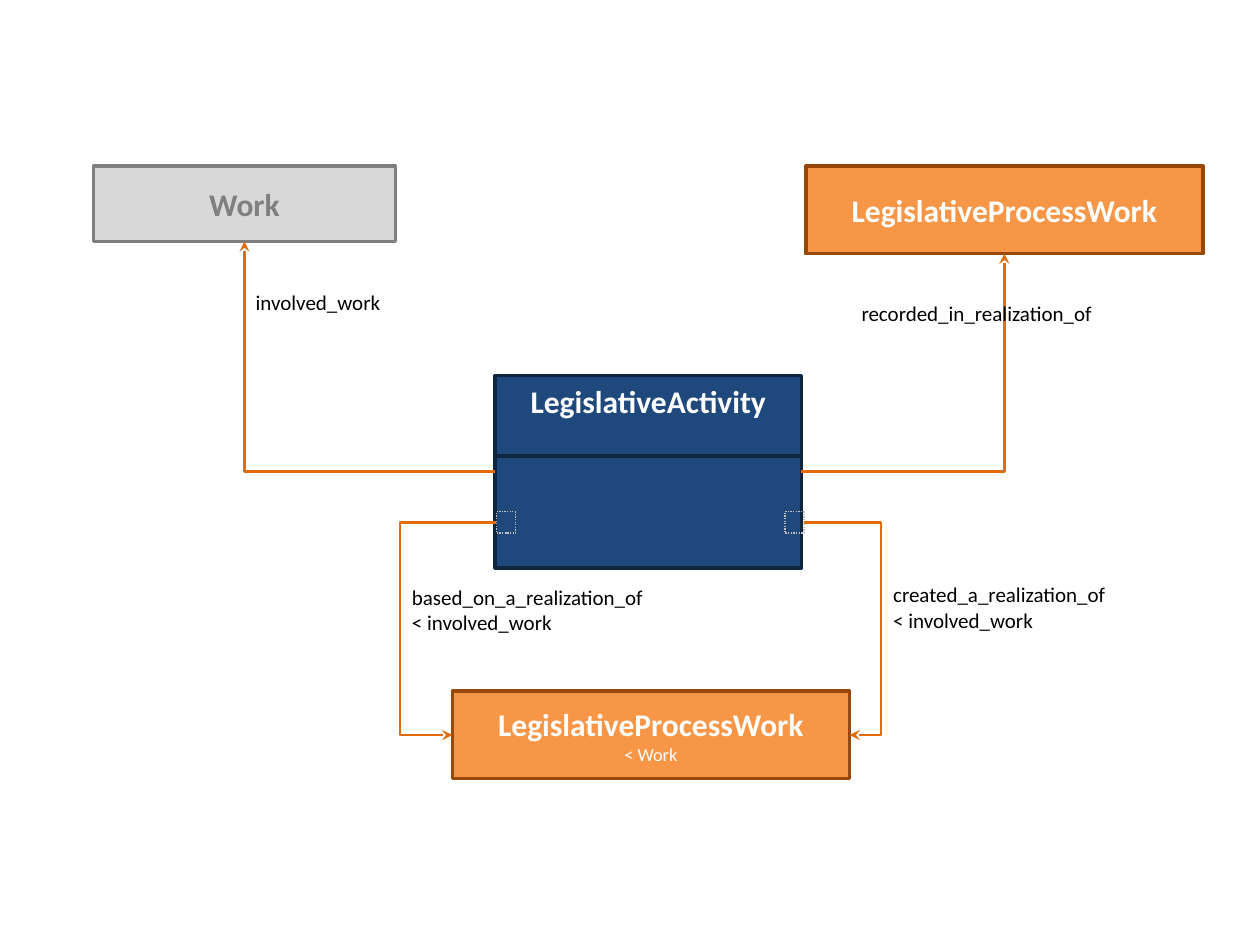
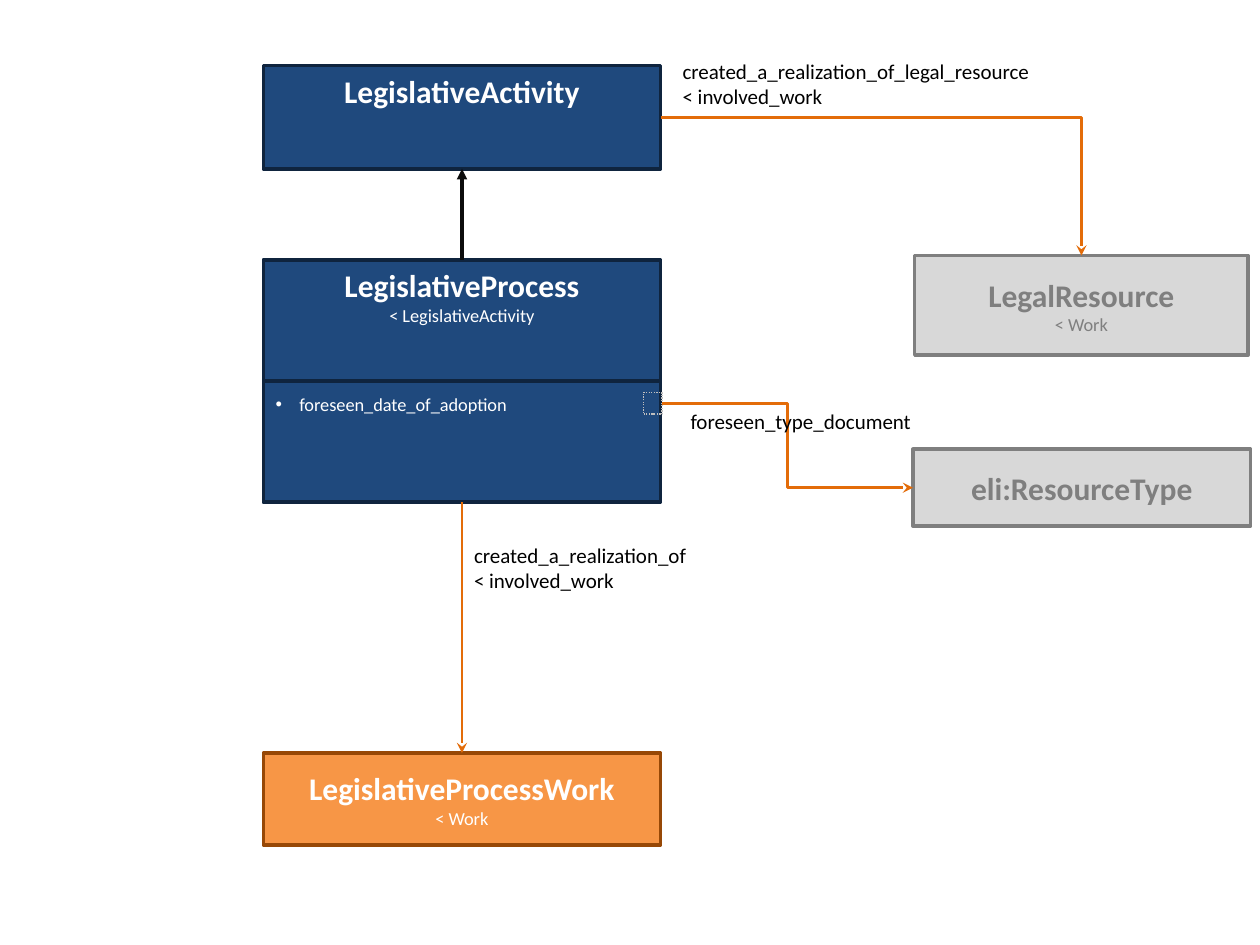
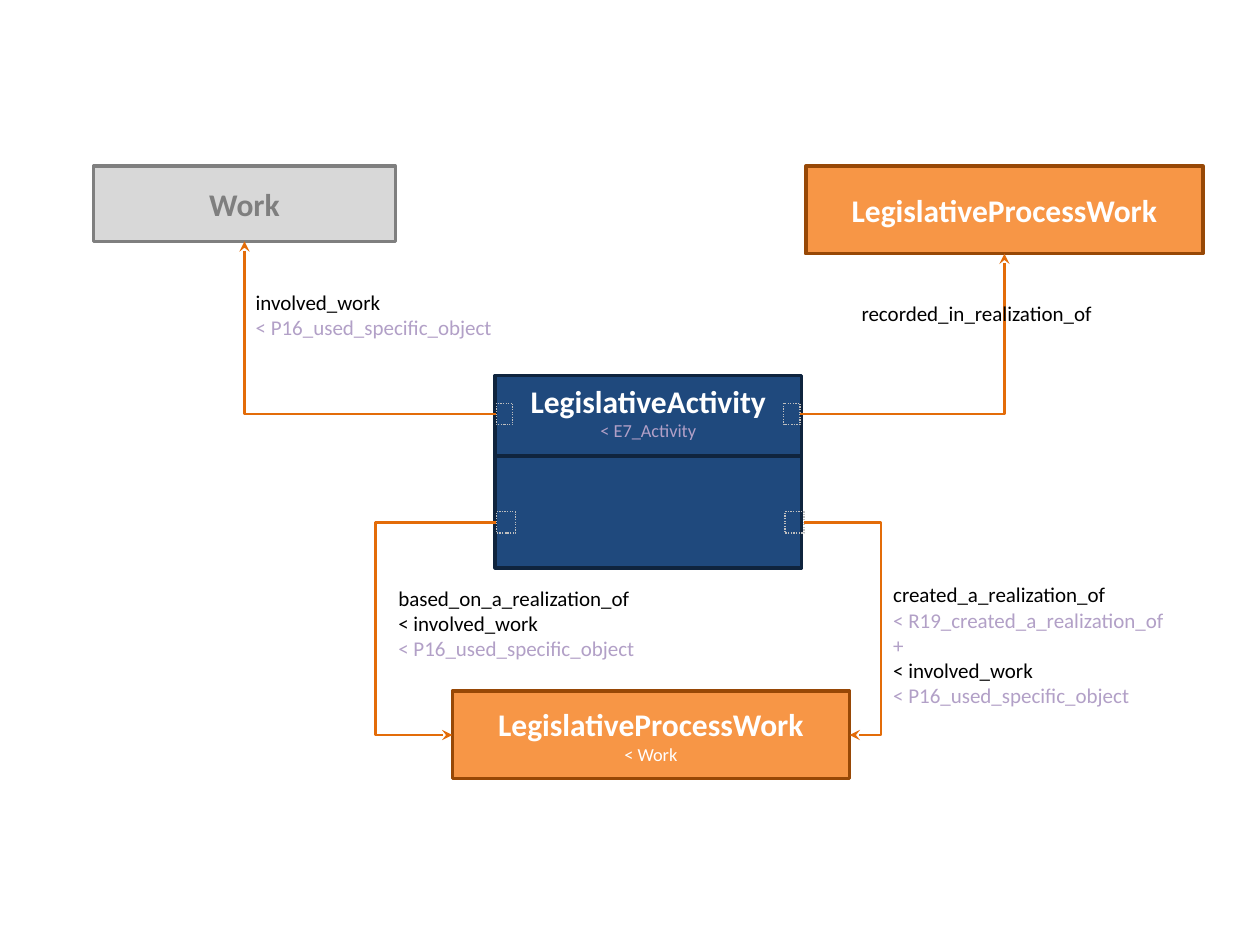
from dataclasses import dataclass

from lxml import etree
from pptx import Presentation
from pptx.dml.color import RGBColor
from pptx.enum.dml import MSO_LINE
from pptx.enum.shapes import MSO_CONNECTOR, MSO_SHAPE
from pptx.enum.text import MSO_ANCHOR, PP_ALIGN
from pptx.oxml.ns import qn
from pptx.util import Pt

RECT = MSO_SHAPE.RECTANGLE
LINE, ELBOW = MSO_CONNECTOR.STRAIGHT, MSO_CONNECTOR.ELBOW
TOP, MIDDLE = MSO_ANCHOR.TOP, MSO_ANCHOR.MIDDLE
LEFT, CENTER, RIGHT = PP_ALIGN.LEFT, PP_ALIGN.CENTER, PP_ALIGN.RIGHT
DOTS = MSO_LINE.ROUND_DOT
NORTH, WEST, SOUTH, EAST = range(4)


@dataclass(frozen=True)
class Kind:
    fill: str
    edge: str
    ink: str
    anchor: MSO_ANCHOR


@dataclass(frozen=True)
class Theme:
    face: str = "Calibri"
    head: float = 18
    note: float = 12
    small: float = 10.5
    thick: float = 2
    mid: float = 1.5
    thin: float = 0.75
    ink: str = "000000"
    mauve: str = "B2A0C7"
    arrow: str = "E36C09"
    parent: str = "0C0C0C"
    slot: str = "BFBFBF"
    blue: Kind = Kind("1F497D", "0F243E", "FFFFFF", TOP)
    orange: Kind = Kind("F79646", "974806", "FFFFFF", MIDDLE)
    gray: Kind = Kind("D8D8D8", "7F7F7F", "7F7F7F", MIDDLE)


class Deck:
    def __init__(self, theme):
        self.theme = theme
        self.show = Presentation()
        self.show.slide_width, self.show.slide_height = Pt(720), Pt(540)

    def page(self):
        self.shapes = self.show.slides.add_slide(self.show.slide_layouts[6]).shapes

    def row(self, frame, text, size, ink, align=LEFT, bold=False):
        para = frame.paragraphs[0]
        if para.runs:
            para = frame.add_paragraph()
        para.add_run().text = text
        para.alignment = align
        font = para.font
        font.name, font.size, font.bold = self.theme.face, Pt(size), bold
        font.color.rgb = RGBColor.from_string(ink)
        return para

    def pen(self, shape, ink, width):
        shape.line.color.rgb = RGBColor.from_string(ink)
        shape.line.width = Pt(width)

    def rect(self, at, ink, width):
        shape = self.shapes.add_shape(RECT, *map(Pt, at))
        shape.shadow.inherit = False
        self.pen(shape, ink, width)
        return shape

    def box(self, kind, at, title, sub=None, tint=None):
        shape = self.rect(at, kind.edge, self.theme.thick)
        shape.fill.solid()
        shape.fill.fore_color.rgb = RGBColor.from_string(kind.fill)
        frame = shape.text_frame
        frame.word_wrap, frame.vertical_anchor = True, kind.anchor
        self.row(frame, title, self.theme.head, kind.ink, CENTER, True)
        if sub:
            self.row(frame, sub, self.theme.small, tint or kind.ink, CENTER)
        return shape

    def bullet(self, box, text, gap):
        ink = self.theme.blue.ink
        para = self.row(box.text_frame, text, self.theme.small, ink)
        para.space_before = Pt(gap)
        props = para._p.get_or_add_pPr()
        props.set("marL", str(Pt(13.5)))
        props.set("indent", str(-Pt(13.5)))
        etree.SubElement(props, qn("a:buFont")).set("typeface", "Arial")
        mark = etree.SubElement(props, qn("a:buChar"))
        mark.set("char", "•")
        props.insert(list(props).index(mark), mark)
        fill = props.find(qn("a:defRPr"))
        if fill is not None:
            props.append(fill)

    def slot(self, at):
        shape = self.rect(at, self.theme.slot, self.theme.thin)
        shape.fill.background()
        shape.line.dash_style = DOTS
        return shape

    def label(self, at, *lines, align=LEFT):
        frame = self.shapes.add_textbox(*map(Pt, at)).text_frame
        frame.word_wrap = True
        for text, ink in lines:
            self.row(frame, text, self.theme.note, ink, align)

    def wire(self, form, ink, width, ends=(0, 0, 0, 0)):
        wire = self.shapes.add_connector(form, *map(Pt, ends))
        self.pen(wire, ink, width)
        etree.SubElement(wire.element.spPr, qn("a:effectLst"))
        return wire

    def rule(self, left, right, y):
        self.wire(LINE, self.theme.blue.edge, self.theme.thick, (left, y, right, y))

    def join(self, start, end, form=LINE, turn=None, parent=False):
        theme = self.theme
        ink, width, tip = (theme.arrow, theme.mid, "stealth")
        if parent:
            ink, width, tip = (theme.parent, theme.thick, "triangle")
        wire = self.wire(form, ink, width)
        wire.begin_connect(*start)
        wire.end_connect(*end)
        etree.SubElement(wire.line._ln, qn("a:tailEnd")).set("type", tip)
        if form == ELBOW:
            shape = wire.element.spPr.find(qn("a:prstGeom"))
            if turn is None:
                shape.set("prst", "bentConnector2")
            else:
                ratio = (Pt(turn) - wire.begin_x) / (wire.end_x - wire.begin_x)
                guide = etree.SubElement(shape.find(qn("a:avLst")), qn("a:gd"))
                guide.set("name", "adj1")
                guide.set("fmla", f"val {round(ratio * 100000)}")


def activity(deck, full):
    theme = deck.theme
    deck.page()
    used = ("< P16_used_specific_object", theme.mauve)
    more = [used] if full else []
    involved = ("< involved_work", theme.ink)

    sub = "< E7_Activity" if full else None
    act = deck.box(theme.blue, (283, 214.5, 175, 110), "LegislativeActivity",
                   sub, theme.mauve)
    deck.rule(283.5, 459, 260.5)
    low = [deck.slot((x, 292.5, 10.8, 12.2)) for x in (283.7, 448.6)]
    base = deck.box(theme.orange, (258.5, 395, 227, 50),
                    "LegislativeProcessWork", "< Work")
    record = deck.box(theme.orange, (460.5, 95, 227, 50), "LegislativeProcessWork")
    work = deck.box(theme.gray, (53.5, 95, 172.5, 43), "Work")

    high = [act, act]
    if full:
        high = [deck.slot((x, 230.5, 9.4, 12.2)) for x in (283.7, 447.8)]
    deck.join((high[0], WEST), (work, SOUTH), ELBOW)
    deck.join((high[1], EAST), (record, SOUTH), ELBOW)
    deck.join((low[0], WEST), (base, WEST), ELBOW, 214.5 if full else 228.5)
    deck.join((low[1], EAST), (base, EAST), ELBOW, 503.5)

    deck.label((139, 162, 194, 36), ("involved_work", theme.ink), *more)
    deck.label((481, 168, 150, 22), ("recorded_in_realization_of", theme.ink),
               align=RIGHT)
    spot = (220.5, 331) if full else (228.3, 330.5)
    deck.label((*spot, 214, 51), ("based_on_a_realization_of", theme.ink),
               involved, *more)
    made = []
    if full:
        made = [("< R19_created_a_realization_of", theme.mauve), ("+", theme.mauve)]
    deck.label((503.3, 329, 203, 94), ("created_a_realization_of", theme.ink),
               *made, involved, *more)


def process(deck):
    theme = deck.theme
    deck.page()
    involved = ("< involved_work", theme.ink)
    left, width = 150.5, 227

    act = deck.box(theme.blue, (left, 37.5, width, 59), "LegislativeActivity")
    main = deck.box(theme.blue, (left, 148.5, width, 138.5),
                    "LegislativeProcess", "< LegislativeActivity")
    deck.bullet(main, "foreseen_date_of_adoption", 38.5)
    deck.rule(left, left + width, 217.8)
    base = deck.box(theme.orange, (left, 430.3, width, 52.5),
                    "LegislativeProcessWork", "< Work")
    legal = deck.box(theme.gray, (522.7, 146, 190.5, 57), "LegalResource", "< Work")
    sort = deck.box(theme.gray, (521.7, 256.7, 193, 44), "eli:ResourceType")
    slot = deck.slot((367.5, 224.5, 10.8, 12.2))

    deck.join((main, NORTH), (act, SOUTH), parent=True)
    deck.join((main, SOUTH), (base, NORTH))
    deck.join((act, EAST), (legal, NORTH), ELBOW)
    deck.join((slot, EAST), (sort, WEST), ELBOW, 450)

    deck.label((383, 30, 215.5, 36),
               ("created_a_realization_of_legal_resource", theme.ink), involved)
    deck.label((387.5, 230, 151, 22), ("foreseen_type_document", theme.ink))
    deck.label((263.8, 306.5, 203, 36),
               ("created_a_realization_of", theme.ink), involved)


def main():
    deck = Deck(Theme())
    activity(deck, False)
    process(deck)
    activity(deck, True)
    deck.show.save("out.pptx")


if __name__ == "__main__":
    main()
